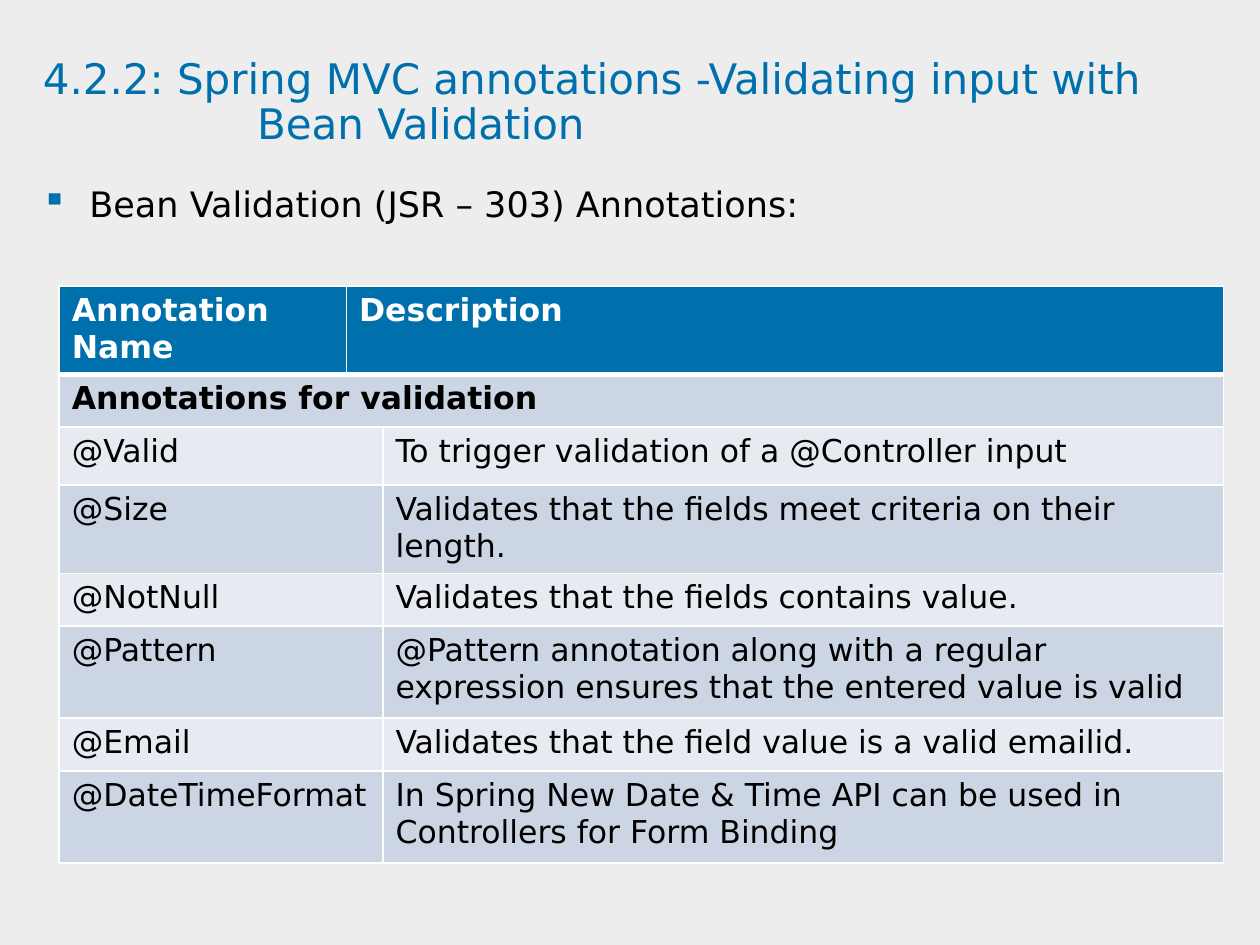
from pptx import Presentation
from pptx.dml.color import RGBColor
from pptx.enum.shapes import MSO_SHAPE
from pptx.enum.text import MSO_ANCHOR
from pptx.oxml import parse_xml
from pptx.oxml.ns import nsdecls
from pptx.util import Inches, Pt

theme = {
    "font": "DejaVu Sans", "back": "EDEDED", "blue": "0070AD",
    "black": "000000", "white": "FFFFFF", "dark": "CCD5E3", "light": "E7EBF1",
    "title": 24, "body": 20, "cell": 18,
}


def style(para, size, color, bold=False):
    look = {"name": theme["font"], "size": Pt(theme[size]), "bold": bold}
    for run in para.runs:
        for key, value in look.items():
            setattr(run.font, key, value)
        run.font.color.rgb = RGBColor.from_string(theme[color])


def add_text(box, text, size, color, indent):
    frame = slide.shapes.add_textbox(*map(Inches, box)).text_frame
    margins = dict.fromkeys(("margin_left", "margin_top", "margin_right", "margin_bottom"), 0)
    for key, value in {**margins, "word_wrap": True, "vertical_anchor": MSO_ANCHOR.TOP}.items():
        setattr(frame, key, value)
    para = frame.paragraphs[0]
    para.text = text
    style(para, size, color)
    props = para._p.get_or_add_pPr()
    props.set("marL", str(Inches(indent)))
    props.set("indent", str(-Inches(indent)))
    return para


deck = Presentation()
deck.slide_width, deck.slide_height = Inches(10), Inches(7.5)
slide = deck.slides.add_slide(deck.slide_layouts[6])

# Background panel
panel = slide.shapes.add_shape(MSO_SHAPE.RECTANGLE, 0, 0, deck.slide_width, deck.slide_height)
panel.shadow.inherit = False
panel.fill.solid()
panel.fill.fore_color.rgb = RGBColor.from_string(theme["back"])
panel.line.fill.background()

# Title with an indented second line
title = add_text((0.34, 0.46, 9.09, 0.82),
                 "4.2.2: Spring MVC annotations -Validating input with\vBean Validation",
                 "title", "blue", 1.7)
title.line_spacing = 0.9

# Bullet line
lead = add_text((0.33, 1.55, 9.67, 1.08), "Bean Validation (JSR – 303) Annotations:",
                "body", "black", 0.38)
lead.line_spacing = Pt(16.5)
lead.space_after = Pt(4.5)
props = lead._p.get_or_add_pPr()
props.append(parse_xml(f'<a:buClr {nsdecls("a")}><a:srgbClr val="{theme["blue"]}"/></a:buClr>'))
props.append(parse_xml(f'<a:buChar {nsdecls("a")} char="▪"/>'))

# Table: (name, description), with the header split one column earlier
rows = [
    ("Annotation Name", "Description"),
    ("Annotations for validation", None),
    ("@Valid", "To trigger validation of a @Controller input"),
    ("@Size", "Validates that the fields meet criteria on their length."),
    ("@NotNull", "Validates that the fields contains value."),
    ("@Pattern", "@Pattern annotation along with a regular expression "
                 "ensures that the entered value is valid"),
    ("@Email", "Validates that the field value is a valid emailid."),
    ("@DateTimeFormat", "In Spring New Date & Time API can be used in "
                        "Controllers for Form Binding"),
]
widths = (2.28, 0.29, 6.67)
heights = (0.59, 0.42, 0.46, 0.42, 0.42, 0.73, 0.42, 0.73)
table = slide.shapes.add_table(len(rows), len(widths), Inches(0.47), Inches(2.27),
                               Inches(sum(widths)), Inches(sum(heights))).table
for col, width in zip(table.columns, widths):
    col.width = Inches(width)

for r, (name, text) in enumerate(rows):
    table.rows[r].height = Inches(heights[r])
    split = 1 if r == 0 else 2
    first, last = (1, 2) if r == 0 else (0, 2 if text is None else 1)
    table.cell(r, first).merge(table.cell(r, last))
    table.cell(r, 0).text = name
    if text:
        table.cell(r, split).text = text
    fill = "blue" if r == 0 else ("dark" if r % 2 else "light")
    for c in range(len(widths)):
        cell = table.cell(r, c)
        cell.fill.solid()
        cell.fill.fore_color.rgb = RGBColor.from_string(theme[fill])
        style(cell.text_frame.paragraphs[0], "cell", "black" if r else "white", r < 2)
        # White borders, thicker around the foot of the header
        for i, side in enumerate(("lnL", "lnR", "lnT", "lnB")):
            thick = (r, side) in ((0, "lnB"), (1, "lnT"))
            line = parse_xml(
                f'<a:{side} {nsdecls("a")} w="{Pt(3 if thick else 1)}"><a:solidFill>'
                f'<a:srgbClr val="{theme["white"]}"/></a:solidFill></a:{side}>')
            cell._tc.get_or_add_tcPr().insert(i, line)

deck.save("out.pptx")
